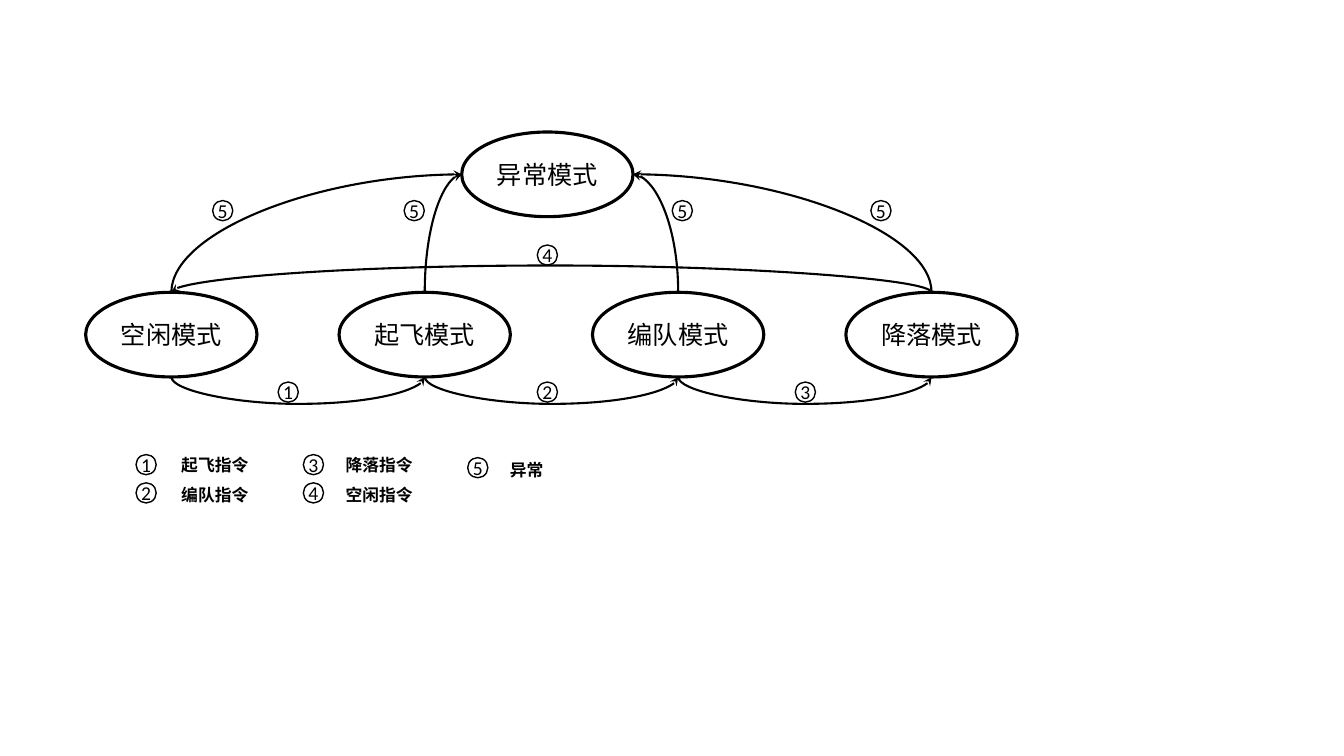
import pptx
import pptx.dml.color
import pptx.enum.shapes
import pptx.enum.text
import pptx.oxml
import pptx.oxml.ns
import pptx.util

Pt = pptx.util.Pt
qn = pptx.oxml.ns.qn
NAMESPACE = pptx.oxml.ns.nsdecls("a")


class Diagram:
    colours = {"ink": "000000"}
    chinese_font = "Noto Sans CJK SC"
    digit_font = "Calibri"
    marker_size = 14.4
    loop_width = 0.25

    def __init__(self, slide):
        self.slide = slide

    def colour(self, name):
        return pptx.dml.color.RGBColor.from_string(self.colours[name])

    def set_text(self, frame, text, font_name, size, bold=False):
        para = frame.paragraphs[0]
        para.text = text
        font = para.font
        font.size = Pt(size)
        font.bold = bold
        font.color.rgb = self.colour("ink")
        font.name = font_name
        east_asian = pptx.oxml.parse_xml(f'<a:ea {NAMESPACE} typeface="{font_name}"/>')
        para._p.pPr.find(qn("a:defRPr")).append(east_asian)
        return para

    def oval(self, text, left, top, width, height, font_name, size, line_width):
        shape = self.slide.shapes.add_shape(
            pptx.enum.shapes.MSO_SHAPE.OVAL, Pt(left), Pt(top), Pt(width), Pt(height))
        shape.shadow.inherit = False
        shape.fill.background()
        shape.line.color.rgb = self.colour("ink")
        shape.line.width = Pt(line_width)
        frame = shape.text_frame
        frame.margin_left = frame.margin_right = frame.margin_top = frame.margin_bottom = 0
        frame.word_wrap = False
        frame.vertical_anchor = pptx.enum.text.MSO_ANCHOR.MIDDLE
        para = self.set_text(frame, text, font_name, size)
        para.alignment = pptx.enum.text.PP_ALIGN.CENTER

    def mode(self, text, left, top, width, height):
        self.oval(text, left, top, width, height, self.chinese_font, 18, 2.25)

    def marker(self, number, left, top):
        self.oval(str(number), left, top, self.marker_size, self.marker_size,
                  self.digit_font, 14, 1)

    def label(self, text, left, top):
        box = self.slide.shapes.add_textbox(Pt(left), Pt(top), Pt(64), Pt(21.6))
        box.text_frame.word_wrap = True
        self.set_text(box.text_frame, text, self.chinese_font, 12, bold=True)

    def curve(self, start, end, upward, bulge=None):
        (x1, y1), (x2, y2) = start, end
        width = self.loop_width if bulge else abs(y2 - y1)
        height = abs(x2 - x1)
        left = (x1 + x2 - width) / 2
        top = (y1 + y2 - height) / 2
        connector = self.slide.shapes.add_connector(
            pptx.enum.shapes.MSO_CONNECTOR.CURVE,
            Pt(left), Pt(top), Pt(left + width), Pt(top + height))
        connector.line.color.rgb = self.colour("ink")
        connector.line.width = Pt(1.5)

        properties = connector._element.spPr
        frame = properties.find(qn("a:xfrm"))
        frame.set("rot", "16200000" if upward else "5400000")
        if upward != (x2 > x1):
            frame.set("flipV", "1")
        geometry = properties.find(qn("a:prstGeom"))
        if bulge:
            adjust = round(bulge / width * 100000)
            guides = geometry.find(qn("a:avLst"))
            guides.append(pptx.oxml.parse_xml(
                f'<a:gd {NAMESPACE} name="adj1" fmla="val {adjust}"/>'))
        else:
            geometry.set("prst", "curvedConnector2")
        properties.find(qn("a:ln")).append(
            pptx.oxml.parse_xml(f'<a:tailEnd {NAMESPACE} type="stealth"/>'))
        properties.append(pptx.oxml.parse_xml(f"<a:effectLst {NAMESPACE}/>"))


def main():
    deck = pptx.Presentation()
    deck.slide_width = Pt(960)
    deck.slide_height = Pt(540)
    diagram = Diagram(deck.slides.add_slide(deck.slide_layouts[6]))

    mode_width, mode_height = 122.4, 60.5
    first_left, mode_top, mode_step = 61.2, 208.8, 181
    mode_bottom = mode_top + mode_height
    modes = ["空闲模式", "起飞模式", "编队模式", "降落模式"]
    centres = [first_left + mode_width / 2 + index * mode_step for index in range(len(modes))]
    for text, centre in zip(modes, centres):
        diagram.mode(text, centre - mode_width / 2, mode_top, mode_width, mode_height)

    fault_left, fault_top = 329.8, 94.3
    fault_middle = fault_top + mode_height / 2
    diagram.mode("异常模式", fault_left, fault_top, mode_width, mode_height)

    for centre in centres:
        fault_side = fault_left if centre < fault_left else fault_left + mode_width
        diagram.curve((centre, mode_top), (fault_side, fault_middle), upward=True)
    bulge = 18.9
    for start, end in zip(centres, centres[1:]):
        diagram.curve((start, mode_bottom), (end, mode_bottom), upward=False, bulge=bulge)
    diagram.curve((centres[-1], mode_top), (centres[0], mode_top), upward=True, bulge=bulge)

    for number, left in enumerate([198.7, 383.8, 568.1], start=1):
        diagram.marker(number, left, 272.9)
    diagram.marker(4, 383.8, 175)
    for left in [151.9, 288.7, 480.2, 622.1]:
        diagram.marker(5, left, 143.3)

    legend = [
        (1, "起飞指令", 97.2, 324.7, 122.4, 321.1),
        (2, "编队指令", 97.2, 344.9, 122.4, 342.7),
        (3, "降落指令", 216.7, 324.7, 239.8, 321.1),
        (4, "空闲指令", 216.7, 344.9, 239.8, 342.7),
        (5, "异常", 334.1, 326.9, 357.1, 324.7),
    ]
    for number, text, marker_left, marker_top, label_left, label_top in legend:
        diagram.marker(number, marker_left, marker_top)
        diagram.label(text, label_left, label_top)

    deck.save("out.pptx")


if __name__ == "__main__":
    main()
